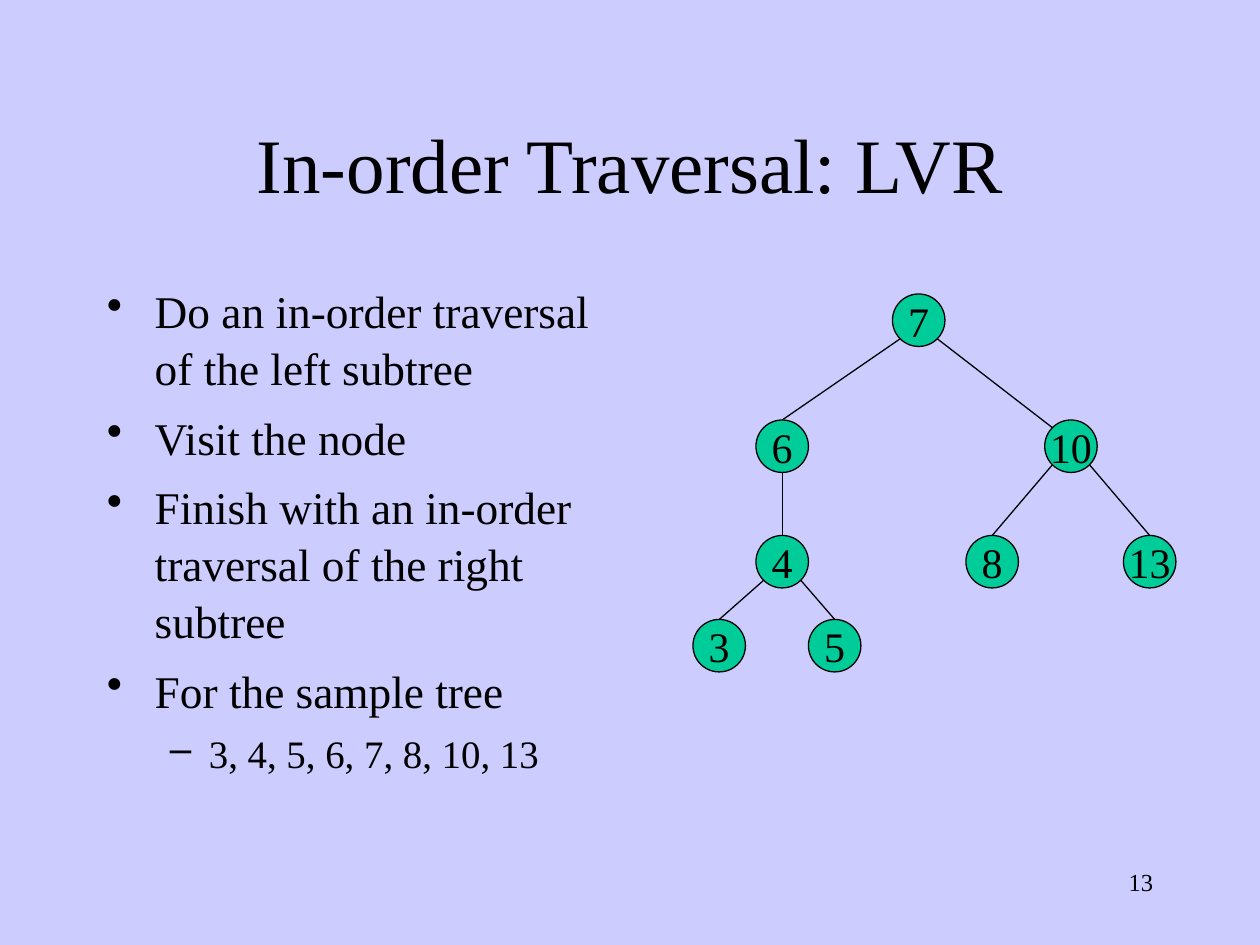
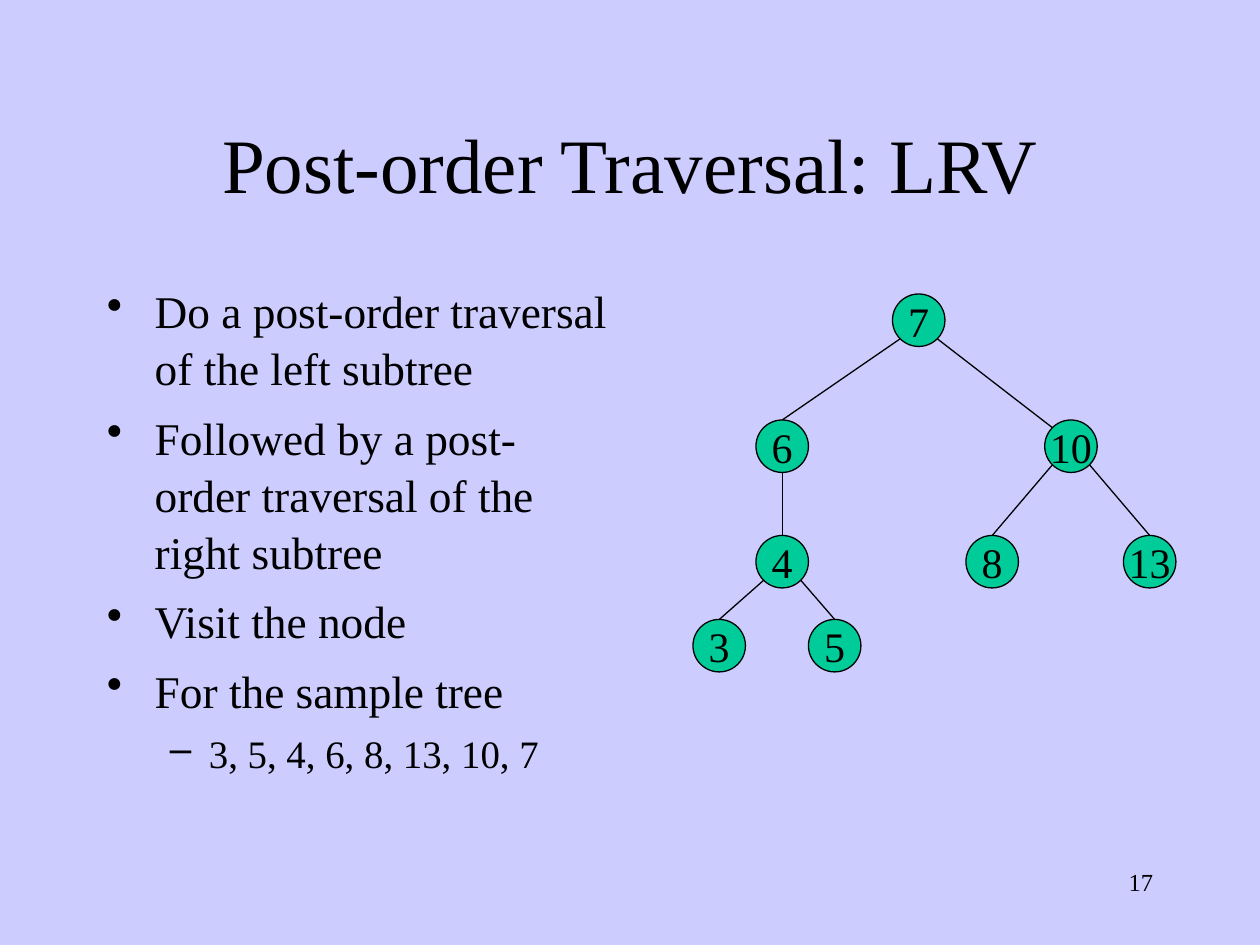
from math import sqrt

from lxml import etree
from pptx import Presentation
from pptx.dml.color import RGBColor
from pptx.enum.shapes import MSO_CONNECTOR, MSO_SHAPE
from pptx.enum.text import MSO_ANCHOR, PP_ALIGN
from pptx.oxml.ns import qn
from pptx.util import Inches, Pt

LAVENDER = RGBColor(0xCC, 0xCC, 0xFF)
GREEN = RGBColor(0x00, 0xCC, 0x99)
BLACK = RGBColor(0x00, 0x00, 0x00)
FONT = "Times New Roman"
CENTER, RIGHT = PP_ALIGN.CENTER, PP_ALIGN.RIGHT
MIDDLE = MSO_ANCHOR.MIDDLE
OVAL, STRAIGHT = MSO_SHAPE.OVAL, MSO_CONNECTOR.STRAIGHT
TITLE_ONLY = 5

# Outline levels: bullet, left indent, hanging indent, size, space before
LEVELS = [("•", 0.38, 0.38, 25.9, 7), ("–", 0.81, 0.31, 22.2, 6)]

SLIDES = [
    ("In-order Traversal: LVR", "13", [
        (0, "Do an in-order traversal of the left subtree"),
        (0, "Visit the node"),
        (0, "Finish with an in-order traversal of the right subtree"),
        (0, "For the sample tree"),
        (1, "3, 4, 5, 6, 7, 8, 10, 13"),
    ]),
    ("Post-order Traversal: LRV", "17", [
        (0, "Do a post-order traversal of the left subtree"),
        (0, "Followed by a post-order traversal of the right subtree"),
        (0, "Visit the node"),
        (0, "For the sample tree"),
        (1, "3, 5, 4, 6, 8, 13, 10, 7"),
    ]),
]

# Tree on a grid of twelfths of an inch: left column and top row of each node
CELL = Inches(1) / 12
NODE_CELLS = 5
NODES = {7: (85, 28), 6: (72, 40), 3: (66, 59), 5: (77, 59),
         4: (72, 51), 10: (99.5, 40), 8: (92, 51), 13: (107, 51)}

# Edges: parent, child, side on which the edge leaves, side on which it arrives
DIAGONAL = 1 / sqrt(2)
LOWER_LEFT, LOWER_RIGHT = (-DIAGONAL, DIAGONAL), (DIAGONAL, DIAGONAL)
UPPER_LEFT = (-DIAGONAL, -DIAGONAL)
TOP, BOTTOM = (0, -1), (0, 1)
EDGES = [(7, 6, LOWER_LEFT, TOP), (7, 10, LOWER_RIGHT, UPPER_LEFT),
         (6, 4, BOTTOM, TOP), (4, 3, LOWER_LEFT, TOP), (4, 5, LOWER_RIGHT, TOP),
         (10, 8, LOWER_LEFT, TOP), (10, 13, LOWER_RIGHT, TOP)]


def style(paragraph, size, alignment=None):
    paragraph.alignment = alignment
    paragraph.font.name = FONT
    paragraph.font.size = Pt(size)
    paragraph.font.color.rgb = BLACK


def rim_point(node, side):
    """Point on the rim of a node's circle in the given direction."""
    radius = NODE_CELLS / 2
    return [round((start + radius + radius * step) * CELL)
            for start, step in zip(NODES[node], side)]


presentation = Presentation()
presentation.slide_width = Inches(10)
presentation.slide_height = Inches(7.5)
background = presentation.slide_master.background.fill
background.solid()
background.fore_color.rgb = LAVENDER

for heading, number, outline in SLIDES:
    slide = presentation.slides.add_slide(presentation.slide_layouts[TITLE_ONLY])

    # Title
    title = slide.shapes.title
    title.left, title.top = Inches(0.75), Inches(0.67)
    title.width, title.height = Inches(8.5), Inches(1.25)
    title.text_frame.text = heading
    title.text_frame.vertical_anchor = MIDDLE
    style(title.text_frame.paragraphs[0], 44, CENTER)

    # Slide number
    footer = slide.shapes.add_textbox(
        Inches(7.17), Inches(6.83), Inches(2.08), Inches(0.5))
    footer.text_frame.word_wrap = True
    footer.text_frame.text = number
    style(footer.text_frame.paragraphs[0], 14, RIGHT)

    # Steps of the traversal
    body = slide.shapes.add_textbox(
        Inches(0.75), Inches(2.18), Inches(4.17), Inches(4.5))
    frame = body.text_frame
    frame.word_wrap = True
    for index, (level, text) in enumerate(outline):
        bullet, indent, hanging, size, space = LEVELS[level]
        paragraph = frame.add_paragraph() if index else frame.paragraphs[0]
        paragraph.text = text
        paragraph.level = level
        properties = paragraph._p.get_or_add_pPr()
        properties.set("marL", str(Inches(indent)))
        properties.set("indent", str(-Inches(hanging)))
        etree.SubElement(properties, qn("a:buChar")).set("char", bullet)
        paragraph.line_spacing = 1.05
        paragraph.space_before = Pt(space if index else 0)
        style(paragraph, size)

    # Tree nodes
    circles = {}
    for value, (column, row) in NODES.items():
        circle = slide.shapes.add_shape(
            OVAL, round(column * CELL), round(row * CELL),
            round(NODE_CELLS * CELL), round(NODE_CELLS * CELL))
        circle.shadow.inherit = False
        circle.fill.solid()
        circle.fill.fore_color.rgb = GREEN
        circle.line.color.rgb = BLACK
        circle.line.width = Pt(0.75)
        circle.text_frame.word_wrap = False
        circle.text_frame.vertical_anchor = MIDDLE
        circle.text_frame.text = str(value)
        style(circle.text_frame.paragraphs[0], 24, CENTER)
        circles[value] = circle

    # Tree edges
    for parent, child, leaving, arriving in EDGES:
        edge = slide.shapes.add_connector(
            STRAIGHT, *rim_point(parent, leaving), *rim_point(child, arriving))
        if arriving == TOP:
            edge.end_connect(circles[child], 0)
        edge.line.color.rgb = BLACK
        edge.line.width = Pt(0.75)
        etree.SubElement(edge._element.spPr, qn("a:effectLst"))

presentation.save("out.pptx")
